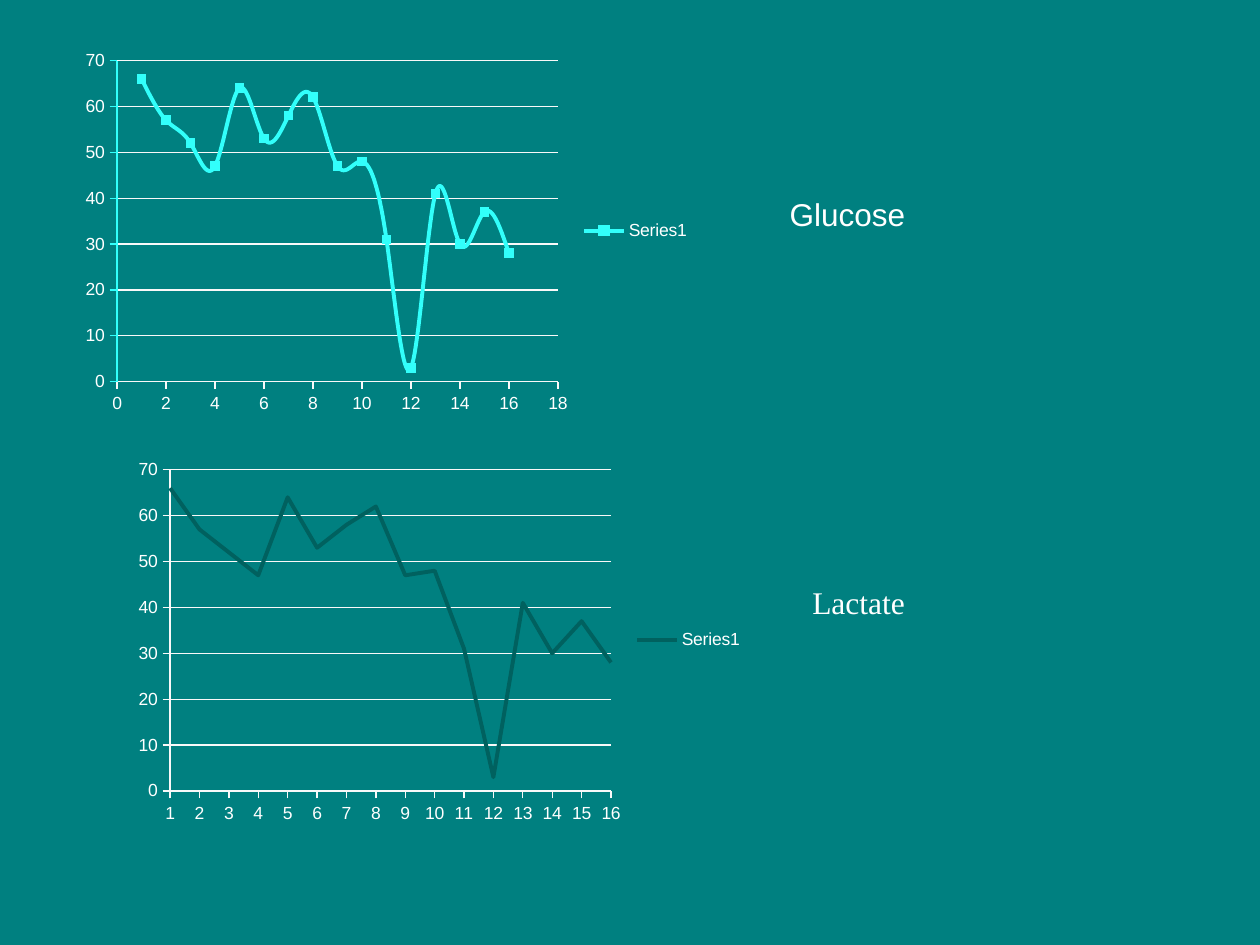
import pptx
import pptx.chart.data
import pptx.dml.color
import pptx.enum.chart
import pptx.enum.text
import pptx.oxml
import pptx.oxml.ns
import pptx.util
from pptx.util import Cm

COLORS = {
    "background": "008080",
    "text": "FFFFFF",
    "line": "F9F9F9",
    "glucose": "32FFFB",
    "lactate": "00615F",
}
VALUES = [66, 57, 52, 47, 64, 53, 58, 62, 47, 48, 31, 3, 41, 30, 37, 28]
SERIES_NAME = "Series1"
CHART_SIZE = (Cm(12.7), Cm(7.62))
PLOT_BOX = {"x": 0.07, "y": 0.05, "w": 0.7, "h": 0.85}

CHARTS = [
    {"kind": "scatter", "left": 1.47, "top": 0.84,
     "color": "glucose", "value_line": "glucose"},
    {"kind": "line", "left": 2.54, "top": 9.09,
     "color": "lactate", "value_line": "line"},
]
LABELS = [
    {"text": "Glucose", "box": (15.67, 3.81, 5.72, 1.02), "font": "Arial",
     "wrap": True, "align": "LEFT"},
    {"text": "Lactate", "box": (16.01, 11.63, 2.6, 1.02),
     "font": "Times New Roman", "wrap": False, "align": "CENTER"},
]


def rgb(name):
    return pptx.dml.color.RGBColor.from_string(COLORS[name])


def style_font(font, size, name="Arial"):
    font.size = pptx.util.Pt(size)
    font.name = name
    font.color.rgb = rgb("text")


def style_line(line, color, width=0.75):
    line.color.rgb = rgb(color)
    line.width = pptx.util.Pt(width)


def style_axis(axis, line_color):
    axis.major_tick_mark = pptx.enum.chart.XL_TICK_MARK.OUTSIDE
    axis.minor_tick_mark = pptx.enum.chart.XL_TICK_MARK.NONE
    style_font(axis.tick_labels.font, 10)
    style_line(axis.format.line, line_color)


def set_scale(axis, maximum, step):
    axis.minimum_scale = 0
    axis.maximum_scale = maximum
    axis.major_unit = step
    axis.tick_labels.number_format = "General"
    axis.tick_labels.number_format_is_linked = False


def place_plot_area(chart):
    """Fix the inner plot rectangle and give it the background fill."""
    namespaces = pptx.oxml.ns.nsdecls("c", "a")
    plot_area = chart.element.find(".//" + pptx.oxml.ns.qn("c:plotArea"))
    for layout in plot_area.findall(pptx.oxml.ns.qn("c:layout")):
        plot_area.remove(layout)
    sizes = "".join(f'<c:{key} val="{value}"/>' for key, value in PLOT_BOX.items())
    plot_area.insert(0, pptx.oxml.parse_xml(
        f'<c:layout {namespaces}><c:manualLayout><c:layoutTarget val="inner"/>'
        f'<c:xMode val="edge"/><c:yMode val="edge"/>{sizes}'
        '</c:manualLayout></c:layout>'))
    plot_area.append(pptx.oxml.parse_xml(
        f'<c:spPr {namespaces}><a:solidFill><a:srgbClr val="{COLORS["background"]}"/>'
        '</a:solidFill><a:ln><a:noFill/></a:ln></c:spPr>'))


def start_on_axis(value_axis):
    """Let the first category sit on the value axis."""
    element = value_axis._element
    for crossing in element.findall(pptx.oxml.ns.qn("c:crossBetween")):
        element.remove(crossing)
    element.find(pptx.oxml.ns.qn("c:crosses")).addnext(pptx.oxml.parse_xml(
        f'<c:crossBetween {pptx.oxml.ns.nsdecls("c")} val="midCat"/>'))


def chart_source(kind):
    """Return the chart type and its data."""
    chart_types = pptx.enum.chart.XL_CHART_TYPE
    numbers = range(1, len(VALUES) + 1)
    if kind == "scatter":
        data = pptx.chart.data.XyChartData()
        series = data.add_series(SERIES_NAME)
        for number, value in zip(numbers, VALUES):
            series.add_data_point(number, value)
        return chart_types.XY_SCATTER_SMOOTH, data
    data = pptx.chart.data.CategoryChartData()
    data.categories = [str(number) for number in numbers]
    data.add_series(SERIES_NAME, VALUES)
    return chart_types.LINE, data


def add_chart(slide, item):
    scatter = item["kind"] == "scatter"
    chart_type, data = chart_source(item["kind"])
    chart = slide.shapes.add_chart(
        chart_type, Cm(item["left"]), Cm(item["top"]), *CHART_SIZE, data).chart
    chart.has_title = False
    style_font(chart.font, 10)
    chart.has_legend = True
    chart.legend.position = pptx.enum.chart.XL_LEGEND_POSITION.RIGHT
    chart.legend.include_in_layout = False
    style_font(chart.legend.font, 10)

    style_axis(chart.category_axis, "line")
    chart.category_axis.has_major_gridlines = False
    style_axis(chart.value_axis, item["value_line"])
    set_scale(chart.value_axis, 70, 10)
    chart.value_axis.has_major_gridlines = True
    style_line(chart.value_axis.major_gridlines.format.line, "line")

    plot = chart.plots[0]
    plot.vary_by_categories = False
    series = plot.series[0]
    style_line(series.format.line, item["color"], 2.25)
    if scatter:
        set_scale(chart.category_axis, 18, 2)
        # Scatter series have no public smooth property.
        series._element.get_or_add_smooth().val = True
        series.marker.style = pptx.enum.chart.XL_MARKER_STYLE.SQUARE
        series.marker.size = 5
        series.marker.format.fill.solid()
        series.marker.format.fill.fore_color.rgb = rgb(item["color"])
        style_line(series.marker.format.line, item["color"])
    else:
        series.smooth = False
        series.marker.style = pptx.enum.chart.XL_MARKER_STYLE.NONE
        start_on_axis(chart.value_axis)
    place_plot_area(chart)


def add_label(slide, label):
    shape = slide.shapes.add_textbox(*map(Cm, label["box"]))
    text_frame = shape.text_frame
    text_frame.text = label["text"]
    text_frame.word_wrap = label["wrap"]
    text_frame.auto_size = pptx.enum.text.MSO_AUTO_SIZE.SHAPE_TO_FIT_TEXT
    paragraph = text_frame.paragraphs[0]
    paragraph.alignment = pptx.enum.text.PP_ALIGN[label["align"]]
    style_font(paragraph.runs[0].font, 18, label["font"])


def main():
    presentation = pptx.Presentation()
    presentation.slide_width = Cm(25.4)
    presentation.slide_height = Cm(19.05)
    slide = presentation.slides.add_slide(presentation.slide_layouts[6])
    slide.background.fill.solid()
    slide.background.fill.fore_color.rgb = rgb("background")
    for item in CHARTS:
        add_chart(slide, item)
    for label in LABELS:
        add_label(slide, label)
    presentation.save("out.pptx")


if __name__ == "__main__":
    main()
